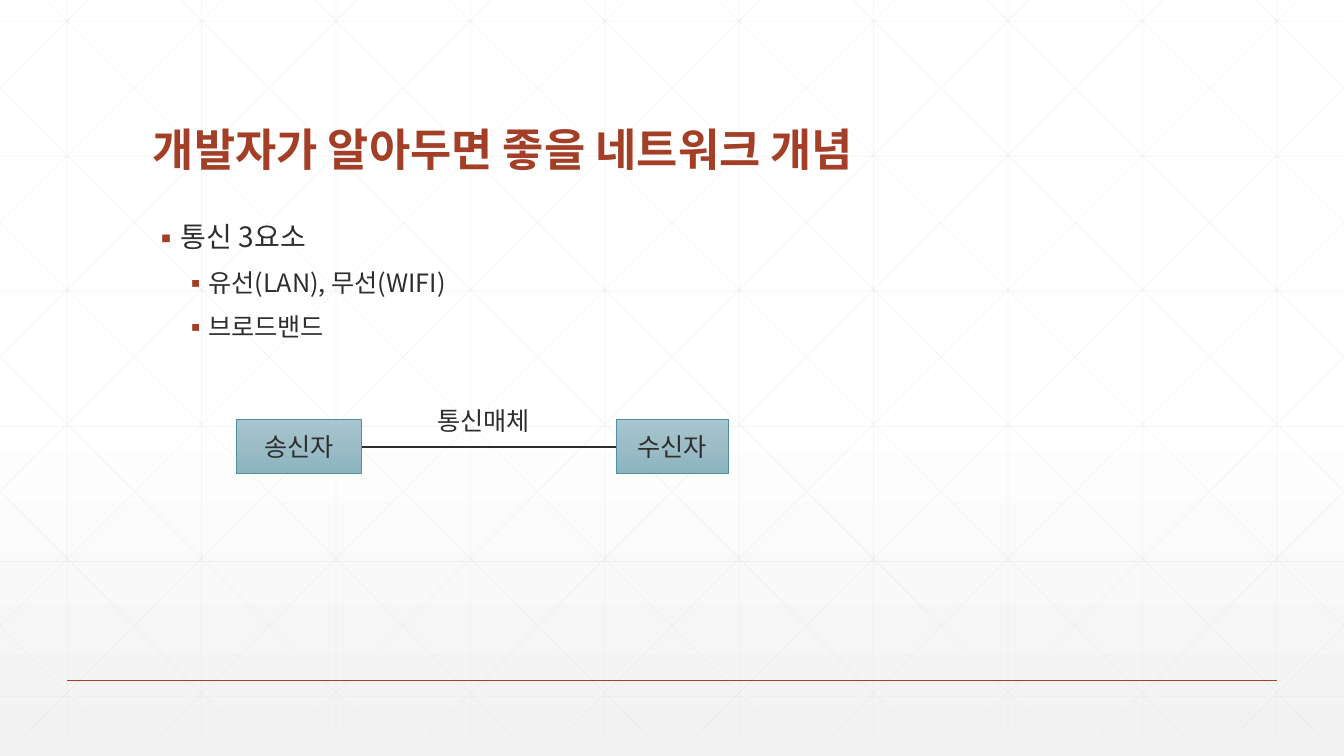
import dataclasses

import lxml.etree
import pptx
import pptx.dml.color
import pptx.enum.dml
import pptx.enum.shapes
import pptx.enum.text
import pptx.oxml.ns
import pptx.util

Pt = pptx.util.Pt
RGB = pptx.dml.color.RGBColor
Anchor = pptx.enum.text.MSO_ANCHOR
Align = pptx.enum.text.PP_ALIGN
qn = pptx.oxml.ns.qn

RUST = RGB(0xA4, 0x3F, 0x27)
INK = RGB(0x2D, 0x2E, 0x2D)
TEAL = RGB(0x4F, 0x91, 0xA1)
GREY = RGB(0xD9, 0xD9, 0xD9)
WHITE = RGB(0xFF, 0xFF, 0xFF)
SMOKE = RGB(0xF2, 0xF2, 0xF2)
PALE = RGB(0xA9, 0xC6, 0xCF)
MIST = RGB(0x9C, 0xBC, 0xC6)
STEEL = RGB(0x8A, 0xB4, 0xC0)

NOTO = "Noto Sans CJK KR"
WIDTH, HEIGHT = 960, 540
FLOOR = 525  # lower end of the grid
PITCH = 96


@dataclasses.dataclass
class Item:
    text: str
    level: int
    size: float
    before: float
    left: float
    hang: float


@dataclasses.dataclass
class Node:
    text: str
    left: float
    width: float


ITEMS = [
    Item("통신 3요소", 0, 20, 0, 18, 18),
    Item("유선(LAN), 무선(WIFI)", 1, 18, 12, 36, 14.4),
    Item("브로드밴드", 1, 18, 12, 36, 14.4),
]
SENDER = Node("송신자", 168.5, 90)
TAKER = Node("수신자", 440, 80.6)


def add(parent, tag: str, **attrs: str):
    return lxml.etree.SubElement(parent, qn(tag), attrs)


def shade(owner, fill, stops: list) -> None:
    """Fill from top to bottom with (percent, colour) stops."""
    fill.gradient()
    fill.gradient_angle = 270
    steps = next(owner.element.iter(qn("a:gsLst")))
    for old in list(steps):
        steps.remove(old)
    for place, color in stops:
        stop = add(steps, "a:gs", pos=str(place * 1000))
        add(stop, "a:srgbClr", val=str(color))


def style(para, size: float, color: RGB, font: str, bold: bool = False) -> None:
    for run in para.runs:
        run.font.size = Pt(size)
        run.font.bold = bold
        run.font.name = font
        run.font.color.rgb = color
        add(run.font._element, "a:ea", typeface=NOTO)


def rule(slide, x1: float, y1: float, x2: float, y2: float,
         color: RGB, width: float, alpha: int = 100):
    line = slide.shapes.add_connector(
        pptx.enum.shapes.MSO_CONNECTOR.STRAIGHT, Pt(x1), Pt(y1), Pt(x2), Pt(y2))
    line.line.color.rgb = color
    line.line.width = Pt(width)
    if alpha < 100:
        tint = next(line.element.iter(qn("a:srgbClr")))
        add(tint, "a:alpha", val=str(alpha * 1000))
    add(line.element.spPr, "a:effectLst")
    return line


def grid(slide) -> None:
    look = (GREY, 0.5, 25)
    for col in range(10):
        x = 48 + PITCH * col
        rule(slide, x, 0, x, FLOOR, *look)
    for row in range(6):
        y = 15.1 + 96.5 * row
        rule(slide, 0, y, WIDTH, y, *look)
    # Diagonals start 15 pt above the slide and are cut at its edges
    for step in range(-5, 10):
        start = 33 + PITCH * step
        top = max(0, -start)
        end = min(FLOOR, WIDTH - start)
        x1, x2 = start + top, start + end
        rule(slide, x1, top, x2, end, *look)
        rule(slide, WIDTH - x1, top, WIDTH - x2, end, *look)


def place(shape, left: float, top: float, width: float, height: float) -> None:
    shape.left, shape.top = Pt(left), Pt(top)
    shape.width, shape.height = Pt(width), Pt(height)
    shape.text_frame.auto_size = pptx.enum.text.MSO_AUTO_SIZE.NONE
    shape.element.getparent().append(shape.element)  # bring to front


def head(slide) -> None:
    title = slide.shapes.title
    place(title, 102, 39.6, 756, 90)
    title.text_frame.text = "개발자가 알아두면 좋을 네트워크 개념"
    title.text_frame.vertical_anchor = Anchor.BOTTOM
    para = title.text_frame.paragraphs[0]
    para.alignment = Align.LEFT
    para.line_spacing = 0.9
    style(para, 32, RUST, NOTO, True)


def points(slide) -> None:
    body = slide.placeholders[1]
    place(body, 102, 156, 756, 300)
    frame = body.text_frame
    frame.text = "\n".join(item.text for item in ITEMS)
    for para, item in zip(frame.paragraphs, ITEMS):
        para.level = item.level
        props = para._p.get_or_add_pPr()
        props.set("marL", str(Pt(item.left)))
        props.set("indent", str(Pt(-item.hang)))
        add(add(props, "a:buClr"), "a:srgbClr", val=str(RUST))
        add(props, "a:buFont", typeface=NOTO)
        add(props, "a:buChar", char="▪")
        para.line_spacing = 0.9
        para.space_before = Pt(item.before)
        style(para, item.size, INK, NOTO)


def block(slide, node: Node):
    box = slide.shapes.add_shape(
        pptx.enum.shapes.MSO_SHAPE.RECTANGLE,
        Pt(node.left), Pt(299.5), Pt(node.width), Pt(39))
    box.shadow.inherit = False
    shade(box, box.fill, [(0, PALE), (50, MIST), (100, STEEL)])
    box.line.color.rgb = TEAL
    box.line.width = Pt(0.5)
    box.text_frame.text = node.text
    box.text_frame.vertical_anchor = Anchor.MIDDLE
    para = box.text_frame.paragraphs[0]
    para.alignment = Align.CENTER
    style(para, 18, INK, "Arial")
    return box


def link(slide) -> None:
    sender, taker = block(slide, SENDER), block(slide, TAKER)
    line = rule(slide, 258.5, 319, 440, 319, INK, 1.5)
    line.begin_connect(sender, 3)
    line.end_connect(taker, 1)
    label = slide.shapes.add_textbox(Pt(305.3), Pt(285.8), Pt(87.1), Pt(28.8))
    label.text_frame.word_wrap = False
    label.text_frame.text = "통신매체"
    style(label.text_frame.paragraphs[0], 18, INK, "Arial")


def main() -> None:
    deck = pptx.Presentation()
    deck.slide_width, deck.slide_height = Pt(WIDTH), Pt(HEIGHT)
    slide = deck.slides.add_slide(deck.slide_layouts[1])
    # Backdrop
    shade(slide, slide.background.fill, [(0, WHITE), (53, WHITE), (100, SMOKE)])
    grid(slide)
    rule(slide, 48, 486, 912, 486, RUST, 1)
    # Text
    head(slide)
    points(slide)
    # Sender and receiver
    link(slide)
    deck.save("out.pptx")


if __name__ == "__main__":
    main()
